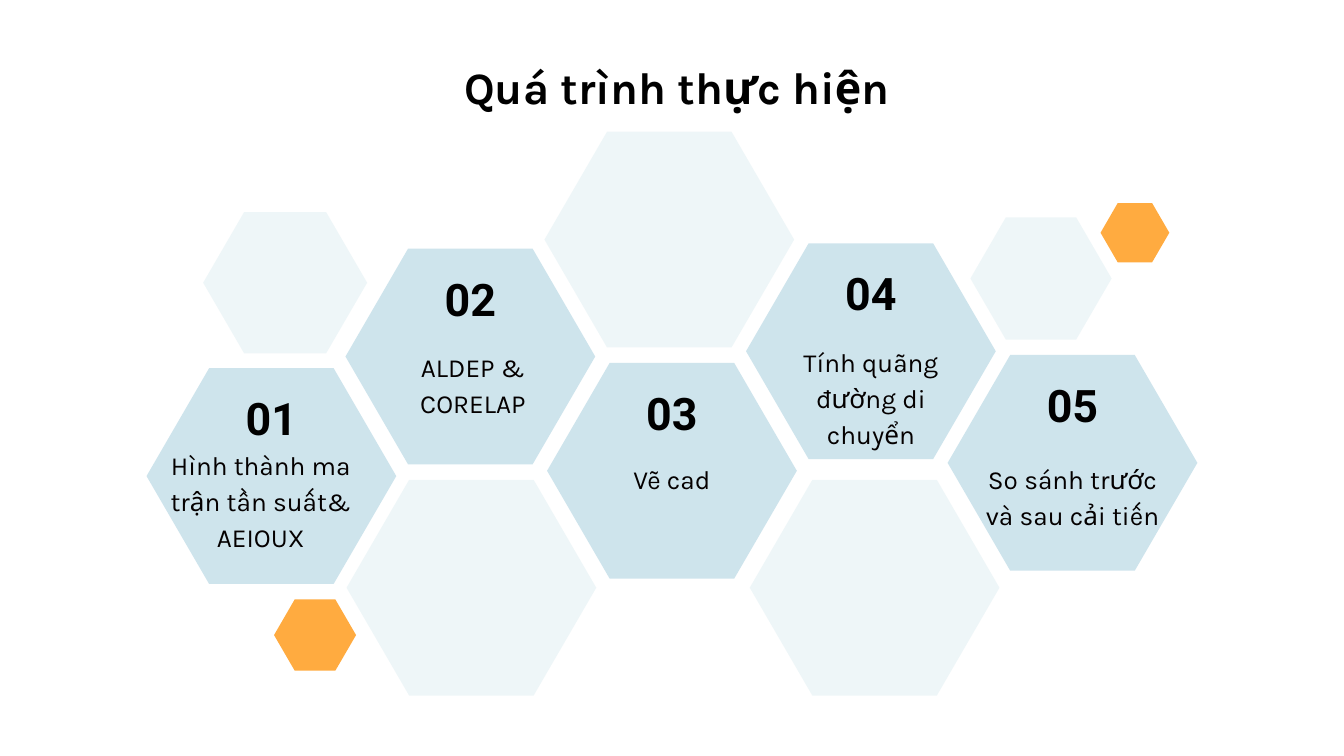
from lxml import etree
from pptx import Presentation
from pptx.dml.color import RGBColor
from pptx.enum import shapes, text
from pptx.oxml.ns import qn
from pptx.util import Cm, Pt

HUES = {"step": "85BCD1", "pale": "82C0CC", "dot": "FFAB40",
        "head": "000000", "body": "040000"}
ALPHA = {"step": 40, "pale": 13, "dot": 100}
WIDE, HIGH = 4.72, 4.08  # large hexagon, cm

# left, top, caption offset, caption
STEPS = [
    (2.77, 6.96, (0.36, 1.42), "Hình thành ma trận tần suất& AEIOUX"),
    (6.53, 4.7, (0.61, 1.83), "ALDEP & CORELAP"),
    (10.34, 6.86, (0.56, 1.78), "Vẽ cad"),
    (14.1, 4.6, (0.56, 1.83), "Tính quãng đường di chuyển"),
    (17.91, 6.71, (0.56, 1.93), "So sánh trước và sau cải tiến"),
]
# hue, left, top, width, height
CELLS = [
    ("pale", 3.84, 4.01, 3.1, 2.67),
    ("pale", 18.34, 4.11, 2.67, 2.31),
    ("dot", 20.8, 3.84, 1.3, 1.12),
    ("dot", 5.18, 11.33, 1.55, 1.35),
    ("pale", 10.29, 2.49, WIDE, HIGH),
    ("pale", 14.17, 9.07, WIDE, HIGH),
    ("pale", 6.55, 9.07, WIDE, HIGH),
]


def add_hex(slide, hue, *box):
    cell = slide.shapes.add_shape(shapes.MSO_SHAPE.HEXAGON, *map(Cm, box))
    cell.adjustments[0] = 0.29
    cell.shadow.inherit = False
    cell.line.fill.background()
    cell.fill.solid()
    cell.fill.fore_color.rgb = RGBColor.from_string(HUES[hue])
    if ALPHA[hue] < 100:
        color = cell.fill._xPr.find(".//" + qn("a:srgbClr"))
        etree.SubElement(color, qn("a:alpha"), val=str(ALPHA[hue] * 1000))


def set_text(shape, words, size, face, hue, bold=False, inset=0, lead=1.0):
    """Fill a shape with one centred paragraph, set from the top."""
    frame = shape.text_frame
    frame.text = words
    frame.word_wrap = True
    frame.auto_size = text.MSO_AUTO_SIZE.NONE
    frame.vertical_anchor = text.MSO_ANCHOR.TOP
    frame.margin_left = frame.margin_right = frame.margin_bottom = 0
    frame.margin_top = Cm(inset)
    para = frame.paragraphs[0]
    para.alignment = text.PP_ALIGN.CENTER
    para.line_spacing = lead
    para.space_before = Pt(0)
    font = para.runs[0].font
    font.size, font.name, font.bold = Pt(size), face, bold
    font.color.rgb = RGBColor.from_string(HUES[hue])


def add_title(slide, left, top, width, height):
    title = slide.shapes.title
    title.left, title.top = Cm(left), Cm(top)
    title.width, title.height = Cm(width), Cm(height)
    set_text(title, "Quá trình thực hiện", 24, "Karla", "head", bold=True)


def add_step(slide, rank, left, top, shift, words):
    add_hex(slide, "step", left, top, WIDE, HIGH)
    wide = 2.62
    label = slide.shapes.add_textbox(
        Cm(left + (WIDE - wide) / 2), Cm(top + 0.2), Cm(wide), Cm(1.1))
    set_text(label, f"{rank:02}", 24, "Roboto", "head", bold=True, inset=0.23)
    body = slide.shapes.add_textbox(
        Cm(left + shift[0]), Cm(top + shift[1]), Cm(3.6), Cm(1.22))
    set_text(body, words, 14, "Karla", "body", inset=0.03, lead=1.15)


def main():
    deck = Presentation()
    deck.slide_width, deck.slide_height = Cm(25.4), Cm(14.29)
    slide = deck.slides.add_slide(deck.slide_layouts[5])
    add_title(slide, 8, 1.12, 9.58, 1.32)
    for cell in CELLS:
        add_hex(slide, *cell)
    for rank, step in enumerate(STEPS, 1):
        add_step(slide, rank, *step)
    deck.save("out.pptx")


if __name__ == "__main__":
    main()
